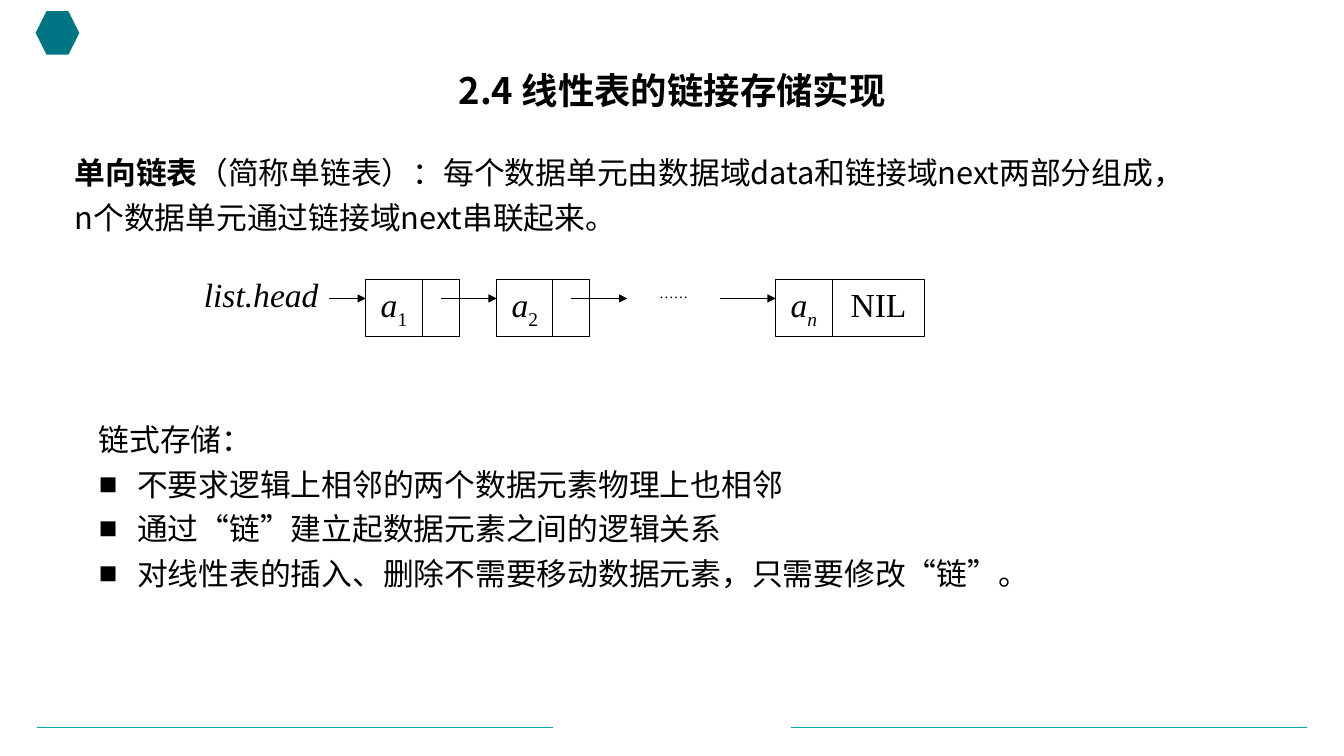
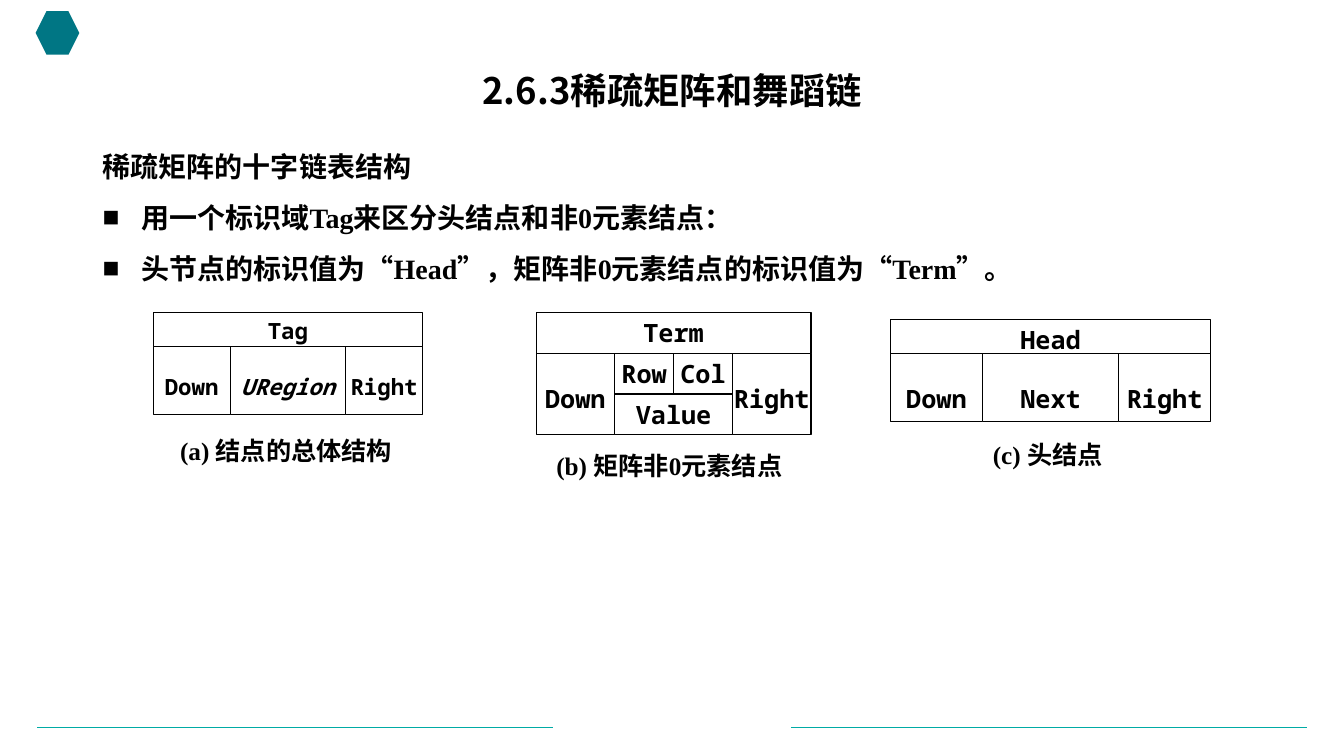
"""Build two slides on linked lists and sparse matrix nodes."""
from lxml import etree
from pptx import Presentation
from pptx.dml.color import RGBColor
from pptx.enum.shapes import MSO_CONNECTOR, MSO_SHAPE
from pptx.enum.text import MSO_ANCHOR, PP_ALIGN
from pptx.oxml.ns import qn
from pptx.util import Cm, Pt

LEFT, MID, RIGHT = PP_ALIGN.LEFT, PP_ALIGN.CENTER, PP_ALIGN.RIGHT
TOP, CORE = MSO_ANCHOR.TOP, MSO_ANCHOR.MIDDLE
RECT, HEX = MSO_SHAPE.RECTANGLE, MSO_SHAPE.HEXAGON
STRAIGHT = MSO_CONNECTOR.STRAIGHT
SANS, BODY = "Noto Sans CJK SC", "Calibri"
SERIF, MONO = "Times New Roman", "Noto Sans Mono"
BLACK, WHITE, TEAL, DARK = "000000", "FFFFFF", "00ABA5", "007684"
hue = RGBColor.from_string


def put(slide, x, y, w, h, rows, size, face, align=LEFT, bold=False, lead=None,
        edge=False, inset=None, anchor=TOP):
    """Place a text box or outlined cell; a row is a string or a list of (text, style) runs."""
    area = Cm(x), Cm(y), Cm(w), Cm(h)
    if edge:
        shape = slide.shapes.add_shape(RECT, *area)
        shape.shadow.inherit = False
        shape.fill.solid()
        shape.fill.fore_color.rgb = hue(WHITE)
        shape.line.color.rgb = hue(BLACK)
        shape.line.width = Pt(0.75)
    else:
        shape = slide.shapes.add_textbox(*area)
    frame = shape.text_frame
    frame.word_wrap = True
    frame.vertical_anchor = anchor
    if inset is not None:
        frame.margin_left = frame.margin_right = 0
        frame.margin_top = Cm(inset)
    for n, row in enumerate(rows):
        para = frame.paragraphs[0] if n == 0 else frame.add_paragraph()
        para.alignment = align
        if lead:
            para.line_spacing = Pt(lead)
        font = para.font
        font.size, font.name, font.bold = Pt(size), face, bold
        font.color.rgb = hue(BLACK)
        props = para._p.get_or_add_pPr()
        base = props.find(qn("a:defRPr"))
        etree.SubElement(base, qn("a:ea")).set("typeface", SANS)
        if isinstance(row, str) and row.startswith("■"):
            row = row[1:]
            props.set("marL", str(Cm(0.97)))
            props.set("indent", str(Cm(-0.97)))
            mark = etree.Element(qn("a:buFont"))
            mark.set("typeface", SERIF)
            base.addprevious(mark)
            mark = etree.Element(qn("a:buChar"))
            mark.set("char", "■")
            base.addprevious(mark)
        for text, style in [(row, "")] if isinstance(row, str) else row:
            run = para.add_run()
            run.text = text
            if "b" in style:
                run.font.bold = True
            if "i" in style:
                run.font.italic = True
            if "_" in style:
                run._r.get_or_add_rPr().set("baseline", "-25000")


def line(slide, x, y, end, color, width, arrow=False):
    """Draw a level line from x to end."""
    rule = slide.shapes.add_connector(STRAIGHT, Cm(x), Cm(y), Cm(end), Cm(y))
    rule.line.color.rgb = hue(color)
    rule.line.width = Pt(width)
    if arrow:
        tip = etree.SubElement(rule.line._get_or_add_ln(), qn("a:tailEnd"))
        tip.set("type", "triangle")
    etree.SubElement(rule._element.spPr, qn("a:effectLst"))


deck = Presentation()
deck.slide_width, deck.slide_height = Cm(33.87), Cm(19.05)
for title in ("2.4 线性表的链接存储实现", "2.6.3稀疏矩阵和舞蹈链"):
    slide = deck.slides.add_slide(deck.slide_layouts[6])
    for x in (0.94, 19.94):
        line(slide, x, 18.34, x + 13, TEAL, 0.5)
    badge = slide.shapes.add_shape(HEX, Cm(0.9), Cm(0.28), Cm(1.1), Cm(1.1))
    badge.shadow.inherit = False
    badge.fill.solid()
    badge.fill.fore_color.rgb = hue(DARK)
    badge.line.fill.background()
    put(slide, 2.34, 1.57, 29.21, 1.45, [title], 26, SANS, MID, True, 29, anchor=CORE)
chain, matrix = deck.slides

intro = [("单向链表", "b"),
         ("（简称单链表）：每个数据单元由数据域data和链接域next两部分组成，"
          "n个数据单元通过链接域next串联起来。", "")]
put(chain, 1.63, 3.56, 28.37, 3.99, [intro], 22, SANS, lead=31.8)
put(chain, 4.62, 6.78, 3.66, 1.45, [[("list.head", "i")]], 24, SERIF, RIGHT)
for x, sub, style in ((9.22, "1", "_"), (12.52, "2", "_"), (19.55, "n", "i_")):
    put(chain, x, 7.04, 1.42, 1.45, [[("a", "i"), (sub, style)]], 24, SERIF, MID, edge=True)
for x, wide, rows in ((10.64, 0.94, []), (13.93, 0.94, []), (20.97, 2.34, ["NIL"])):
    put(chain, x, 7.04, wide, 1.45, rows, 24, SERIF, MID, edge=True)
for x, end in ((8.28, 9.22), (11.11, 12.52), (14.4, 15.81), (18.14, 19.55)):
    line(chain, x, 7.52, end, BLACK, 0.75, True)
put(chain, 15.81, 7.04, 2.34, 1.45, ["……"], 10.5, SERIF, MID)
points = ["链式存储：",
          "■不要求逻辑上相邻的两个数据元素物理上也相邻",
          "■通过“链”建立起数据元素之间的逻辑关系",
          "■对线性表的插入、删除不需要移动数据元素，只需要修改“链”。"]
put(chain, 2.24, 10.29, 24.28, 4.78, points, 22, BODY, lead=31.8)

points = ["稀疏矩阵的十字链表结构",
          "■用一个标识域Tag来区分头结点和非0元素结点：",
          "■头节点的标识值为“Head”，矩阵非0元素结点的标识值为“Term”。"]
put(matrix, 2.34, 3.2, 24.23, 4.09, points, 20, SERIF, bold=True, lead=36.4)
for x, y, wide, text in ((4.29, 10.85, 5.87, "(a) 结点的总体结构"),
                         (13.77, 11.23, 6.4, "(b) 矩阵非0元素结点"),
                         (24.77, 10.95, 3.28, "(c) 头结点")):
    put(matrix, x, y, wide, 1.02, [text], 18, SERIF, bold=True, lead=21.6)

nodes = ((3.86, 7.87, 0.97, 0.86, 16, "Tag", [("URegion", "i")]),
         (13.51, 7.87, 0.99, 1.03, 18, "Term", None),
         (22.45, 8.05, 1.15, 0.86, 18, "Head", "Next"))
for x, y, unit, high, size, head, core in nodes:
    low = y + high
    cells = [(0, low, 2, 2, "Down"), (5, low, 2, 2, "Right")]
    if core:
        cells.append((2, low, 3, 2, core))
    else:
        cells += [(2, low, 1.5, 1, "Row"), (3.5, low, 1.5, 1, "Col"),
                  (2, low + high, 3, 1, "Value")]
    cells.append((0, y, 7, 1, head))
    for col, top, span, deep, text in cells:
        inset = 0.13 if deep == 1 else size * 0.042
        put(matrix, x + col * unit, top, span * unit, deep * high, [text], size, MONO,
            MID, True, edge=True, inset=inset)

deck.save("out.pptx")
